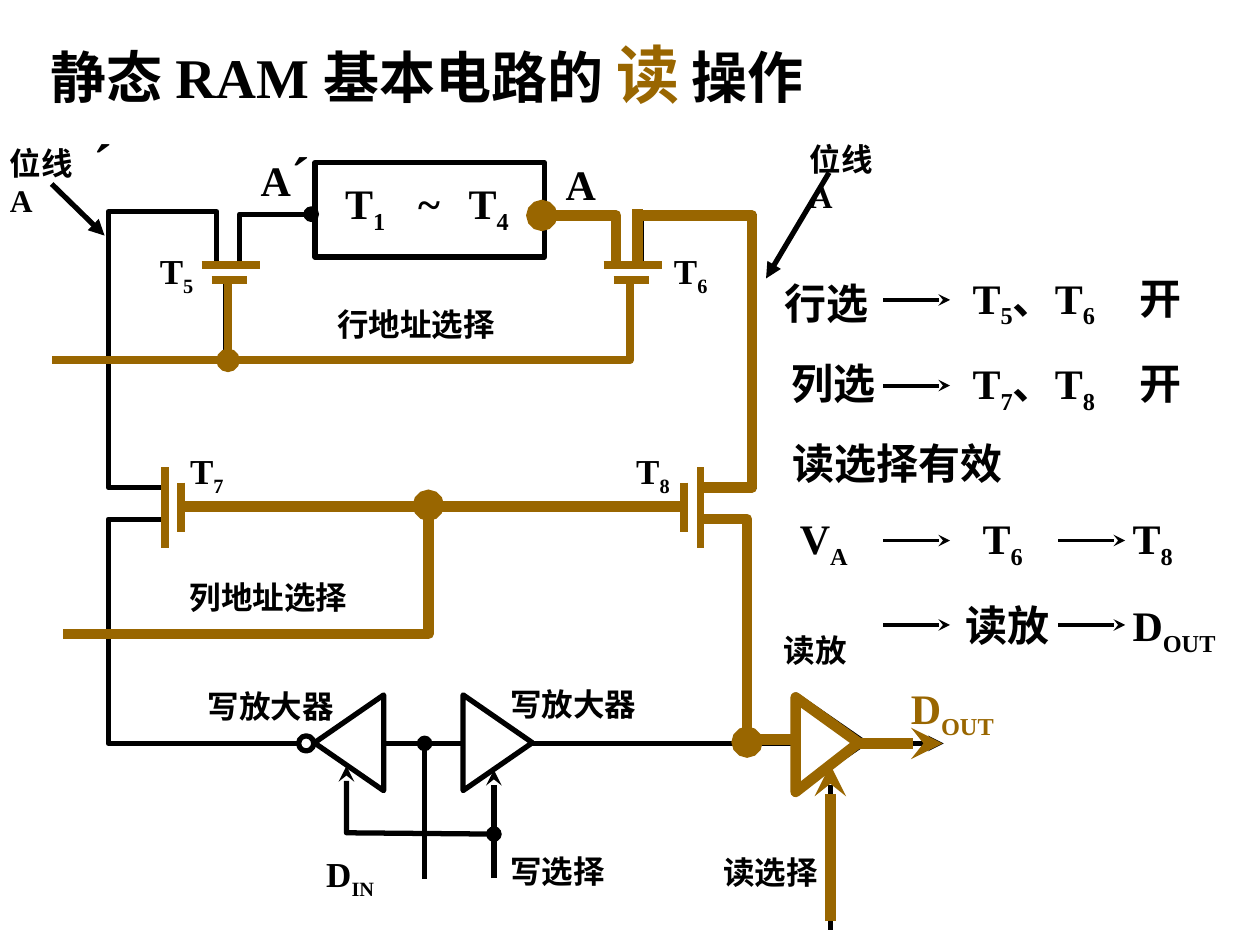
from dataclasses import dataclass
from typing import Any

from lxml.etree import SubElement
from pptx import Presentation
from pptx.dml.color import RGBColor
from pptx.enum.shapes import MSO_CONNECTOR, MSO_SHAPE
from pptx.enum.text import MSO_ANCHOR, MSO_AUTO_SIZE, PP_ALIGN
from pptx.oxml.ns import qn
from pptx.util import Inches, Pt

COLORS = {"ink": "000000", "active": "996600"}
FONT = "Times New Roman"


def style_line(sp, color, width, head, tail):
    sp.line.color.rgb = RGBColor.from_string(COLORS[color])
    sp.line.width = Pt(width)
    ln = sp.line._get_or_add_ln()
    for tag, end in (("a:headEnd", head), ("a:tailEnd", tail)):
        if end:
            SubElement(ln, qn(tag), type=end)


def add_run(p, text, size=24, color="ink", bold=True, sub=False):
    r = p.add_run()
    r.text = text
    r.font.name = FONT
    r.font.size = Pt(size)
    r.font.bold = bold
    r.font.color.rgb = RGBColor.from_string(COLORS[color])
    if sub:
        r._r.get_or_add_rPr().set("baseline", "-25000")


def add_tabs(p, stops):
    tabs = SubElement(p._p.get_or_add_pPr(), qn("a:tabLst"))
    for stop in stops:
        SubElement(tabs, qn("a:tab"), pos=str(Inches(stop)), algn="l")


@dataclass
class Region:
    shapes: Any
    left: float
    top: float

    def at(self, x, y):
        return Inches(self.left + x), Inches(self.top + y)

    def wire(self, *points, color="ink", width=3, head=None, tail=None):
        pts = [self.at(*point) for point in points]
        if len(pts) == 2:
            sp = self.shapes.add_connector(MSO_CONNECTOR.STRAIGHT, *pts[0], *pts[1])
            SubElement(sp._element.spPr, qn("a:effectLst"))
        else:
            builder = self.shapes.build_freeform(*pts[0])
            builder.add_line_segments(pts[1:], close=False)
            sp = builder.convert_to_shape()
            sp.fill.background()
            sp.shadow.inherit = False
        style_line(sp, color, width, head, tail)

    def outline(self, kind, x, y, w, h, color="ink", width=3, rotation=0):
        sp = self.shapes.add_shape(kind, *self.at(x, y), Inches(w), Inches(h))
        sp.fill.background()
        sp.shadow.inherit = False
        sp.rotation = rotation
        style_line(sp, color, width, None, None)
        return sp

    def label(self, text, x, y, w, h=0.5, size=24, color="ink", wrap=False, inset=0.1, stops=()):
        """Text between bars is set as subscript."""
        tf = self.shapes.add_textbox(*self.at(x, y), Inches(w), Inches(h)).text_frame
        tf.word_wrap = wrap
        tf.auto_size = MSO_AUTO_SIZE.SHAPE_TO_FIT_TEXT
        tf.margin_left = tf.margin_right = Inches(inset)
        p = tf.paragraphs[0]
        if stops:
            add_tabs(p, stops)
        for i, part in enumerate(text.split("|")):
            if part:
                add_run(p, part, size, color, sub=i % 2 == 1)
        return p


def title(s, left, top, width, height):
    sp = s.shapes.title
    sp.left, sp.top, sp.width, sp.height = map(Inches, (left, top, width, height))
    tf = sp.text_frame
    tf.word_wrap = True
    tf.auto_size = MSO_AUTO_SIZE.NONE
    tf.vertical_anchor = MSO_ANCHOR.TOP
    p = tf.paragraphs[0]
    p.alignment = PP_ALIGN.LEFT
    add_run(p, "静态 RAM 基本电路的 ", 32)
    add_run(p, "读", 36, "active")
    add_run(p, " 操作", 32)


def memory_cell(s, left, top):
    g = Region(s.shapes, left, top)
    g.outline(MSO_SHAPE.RECTANGLE, 2.5, 0.29, 1.82, 0.75)
    g.label("T|1|\t~\tT|4|", 2.64, 0.36, 1.98, 0.57, wrap=True, stops=(0.58, 0.98))
    p = g.label("A", 1.97, 0.07, 0.67, 0.64)
    add_run(p, "´", 32)
    g.label("A", 4.39, 0.21, 0.44)
    g.wire((2.47, 0.7), (1.9, 0.7), (1.9, 1.1), head="oval")
    g.wire((1.72, 1.09), (1.72, 0.68), (0.86, 0.68), (0.86, 2.87), (1.32, 2.87))
    g.wire((5.09, 1.1), (5.09, 0.71), (5.99, 0.71), (5.99, 2.87), (5.57, 2.87))
    g.wire((1.79, 1.22), (1.79, 1.86), tail="oval")
    for x, name in ((1.17, "T|5|"), (5.25, "T|6|")):
        g.label(name, x, 0.93, 0.48, 0.44, size=20)
    g.label("行地址选择", 2.58, 1.37, 1.47, 0.4, size=18)
    for x, y in ((6.33, 0.06), (-0.02, 0.09)):
        g.label("位线A", x, y, 0.85, 0.4, size=18, wrap=True)
    g.label("´", 0.64, -0.04, 0.43, 0.64, size=32, wrap=True)
    g.wire((6.58, 0.37), (6.08, 1.21), tail="triangle")
    g.wire((0.41, 0.46), (0.83, 0.87), tail="triangle")


def column_gates(s, left, top):
    g = Region(s.shapes, left, top)
    g.wire((1.47, 0.5), (5.42, 0.5))
    g.wire((1.32, 0.62), (0.86, 0.62), (0.86, 2.4), (2.36, 2.4))
    for x, name in ((1.41, "T|7|"), (4.95, "T|8|")):
        g.label(name, x, 0.02, 0.48, 0.44, size=20)
    g.label("列地址选择", 1.41, 1.04, 1.47, 0.4, size=18)


def amplifiers(s, left, top):
    g = Region(s.shapes, left, top)
    for x, turn in ((2.39, 270), (3.57, 90), (6.21, 90)):
        g.outline(MSO_SHAPE.ISOSCELES_TRIANGLE, x, 0.62, 0.76, 0.55, rotation=turn)
    g.outline(MSO_SHAPE.OVAL, 2.37, 0.84, 0.12, 0.12)
    g.wire((3.04, 0.9), (3.68, 0.9))
    g.wire((4.22, 0.9), (6.31, 0.9))
    g.wire((6.86, 0.9), (7.49, 0.9), tail="stealth")
    g.wire((3.37, 0.9), (3.37, 1.98), head="oval")
    g.wire((3.92, 1.97), (3.92, 1.11), tail="stealth")
    g.wire((2.75, 1.08), (2.75, 1.61), (3.92, 1.62), head="stealth", tail="oval")
    g.wire((6.59, 2.38), (6.59, 1.11), tail="stealth")
    for text, x, y, w in (
        ("写放大器", 1.55, 0.4, 1.22),
        ("写放大器", 3.95, 0.39, 1.22),
        ("写选择", 3.95, 1.71, 0.97),
        ("读选择", 5.64, 1.72, 0.97),
        ("读放", 6.12, -0.04, 0.71),
    ):
        g.label(text, x, y, w, 0.4, size=18)
    g.label("D|IN|", 2.49, 1.72, 0.61, 0.44, size=20)


def read_path(s, left, top):
    g = Region(s.shapes, left, top)

    def active(*points, width=6, **ends):
        g.wire(*points, color="active", width=width, **ends)

    active((3.4, 3.01), (3.4, 4.03), (0.5, 4.03), head="oval")
    active((1.43, 3.02), (5.42, 3.02))
    active((4.3, 0.71), (4.89, 0.71), (4.89, 1.09), head="oval")
    active((5.06, 1.08), (5.06, 0.66))
    active((5.06, 0.71), (5.97, 0.71), (5.97, 2.87), (5.54, 2.87))
    active((5.56, 3.12), (5.93, 3.12), (5.93, 4.89), tail="oval")
    active((5.94, 4.87), (6.33, 4.87))
    active((6.59, 6.31), (6.59, 5.07), tail="stealth")
    active((6.79, 4.9), (7.48, 4.9), tail="stealth")
    amp = g.outline(MSO_SHAPE.ISOSCELES_TRIANGLE, 6.19, 4.66, 0.75, 0.5, "active", 6, 90)
    amp.adjustments[0] = 0.48
    for x in (1.6, 4.79):
        active((x, 1.1), (x + 0.46, 1.1), width=4.5)
        active((x + 0.08, 1.22), (x + 0.36, 1.22), width=4.5)
    for outer, inner in ((1.31, 1.44), (5.56, 5.43)):
        active((outer, 2.71), (outer, 3.35), width=4.5)
        active((inner, 2.83), (inner, 3.22), width=4.5)
    active((5, 1.22), (5, 1.86), (0.41, 1.86), width=4.5)
    active((1.81, 1.22), (1.81, 1.86), width=4.5, tail="oval")
    g.label("D|OUT|", 7.13, 4.37, 0.92, color="active")


def notes(s, left, top):
    g = Region(s.shapes, left, top)
    for text, x, y in (("行选", 0.21, 0.15), ("列选", 0.26, 0.79)):
        g.label(text, x, y, 0.83, wrap=True, inset=0.02)
    for text, y in (("T|5|、T|6|\t开", 0.11), ("T|7|、T|8|\t开", 0.79)):
        g.label(text, 1.7, y, 1.93, wrap=True, inset=0.02, stops=(1.32,))
    g.label("读选择有效", 0.19, 1.42, 2.91, wrap=True)
    g.label("V|A|", 0.25, 2.02, 0.7, wrap=True)
    g.label("T|6|", 1.7, 2.02, 0.53)
    g.label("T|8|", 2.89, 2.02, 0.53)
    g.label("读放", 1.64, 2.71, 0.92, wrap=True, inset=0.02)
    g.label("D|OUT|", 2.89, 2.71, 1.1, wrap=True)
    for x, y in ((1.01, 0.38), (1.01, 1.06), (1.01, 2.29), (2.4, 2.29), (1.01, 2.96), (2.4, 2.96)):
        g.wire((x, y), (x + 0.53, y), width=2.25, tail="stealth")


def main():
    prs = Presentation()
    prs.slide_width, prs.slide_height = Inches(10), Inches(7.5)
    s = prs.slides.add_slide(prs.slide_layouts[5])
    title(s, 0.3, 0.23, 7.67, 0.7)
    memory_cell(s, 0, 1)
    column_gates(s, 0, 3.5)
    amplifiers(s, 0, 5)
    read_path(s, 0, 1)
    notes(s, 6, 2)
    prs.save("out.pptx")


if __name__ == "__main__":
    main()
